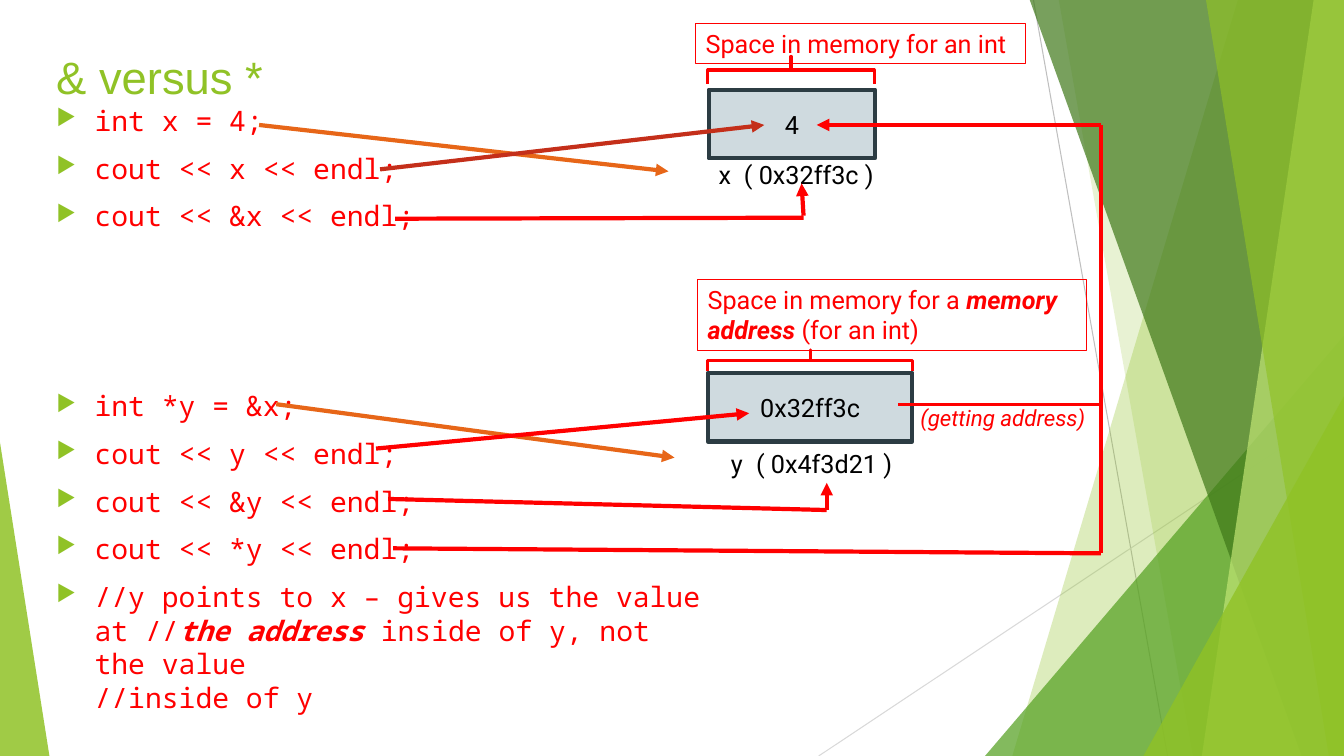
from lxml import etree
from pptx import Presentation
from pptx.dml.color import RGBColor
from pptx.enum.shapes import MSO_CONNECTOR as LINE, MSO_SHAPE as SHAPE
from pptx.enum.text import MSO_ANCHOR as ANCHOR, PP_ALIGN as ALIGN
from pptx.oxml import parse_xml
from pptx.oxml.ns import nsdecls, qn
from pptx.util import Inches, Pt

HUES = {"red": "FF0000", "rust": "C42F1A", "orange": "E76618", "lime": "90C226",
        "green": "54A021", "dark": "3F7819", "pale": "C0E474", "cell": "CFDADF",
        "edge": "2C3C43", "black": "000000", "gray": "BFBFBF", "mist": "D9D9D9"}

deck = Presentation()
deck.slide_width, deck.slide_height = Inches(13.33), Inches(7.5)
slide = deck.slides.add_slide(deck.slide_layouts[6])
shapes = slide.shapes


def rgb(hue):
    return RGBColor.from_string(HUES[hue])


def write(para, runs, size, hue, face="Roboto"):
    """Fill a paragraph; each run is a text and whether it is bold italic."""
    for text, strong in runs:
        if text == "\n":
            para.add_line_break()
            continue
        run = para.add_run()
        run.text = text
        if strong:
            run.font.bold = run.font.italic = True
    para.font.size, para.font.name = Pt(size), face
    para.font.color.rgb = rgb(hue)


# Backdrop lines, shards and corner triangles
lines = [(10.25, 0, 11.58, 7.5, "gray", 0.75, False),
         (13.33, 4.03, 8.12, 7.5, "mist", 0.75, False)]
shards = [(12.28, 10.04, "lime", 30), (10.5, 11.83, "lime", 20),
          (9.77, 3.33, 3.56, 4.17, 1, "green", 72),
          (10.21, 12.91, "dark", 70), (13.03, 11.92, "pale", 70),
          (11.96, 13.18, "lime", 65),
          (11.34, 3.93, 1.99, 3.57, 1, "lime", 80),
          (0, 4.39, 0.49, 3.11, 0, "lime", 85)]

# Arrows and lines of the diagram
lines += [(2.57, 1.24, 6.63, 1.7, "orange", 3, True),
          (3.92, 2.17, 7.97, 2.16, "red", 3, False),
          (7.97, 2.14, 7.95, 1.82, "red", 3, True),
          (3.77, 1.68, 7.58, 1.24, "rust", 3, True),
          (2.74, 4.01, 6.69, 4.54, "orange", 3, True),
          (3.73, 4.45, 7.43, 4.1, "red", 3, True),
          (3.85, 4.95, 8.2, 5.06, "red", 3, False),
          (8.2, 5.06, 8.2, 4.79, "red", 3, True),
          (3.9, 5.44, 10.92, 5.49, "red", 3, False),
          (10.92, 5.49, 10.92, 1.24, "red", 3, False),
          (10.92, 1.24, 8.1, 1.24, "red", 3, True),
          (8.91, 4.01, 10.92, 4.01, "red", 2.25, False)]


def draw(x1, y1, x2, y2, hue, width, arrow):
    line = shapes.add_connector(LINE.STRAIGHT, *map(Inches, (x1, y1, x2, y2)))
    line.line.color.rgb, line.line.width = rgb(hue), Pt(width)
    props = line._element.spPr
    if arrow:
        etree.SubElement(props.find(qn("a:ln")), qn("a:tailEnd"), type="triangle")
    etree.SubElement(props, qn("a:effectLst"))


for line in lines[:2]:
    draw(*line)

for *place, hue, alpha in shards:
    if len(place) == 2:
        top, foot = place
        pen = shapes.build_freeform(Inches(top), Inches(-0.01))
        pen.add_line_segments([(Inches(x), Inches(y)) for x, y in
                               ((13.33, -0.01), (13.33, 7.5), (foot, 7.5))])
        shard = pen.convert_to_shape()
    else:
        *box, peak = place
        shard = shapes.add_shape(SHAPE.ISOSCELES_TRIANGLE, *map(Inches, box))
        shard.adjustments[0] = peak
    shard.shadow.inherit = False
    shard.fill.solid()
    shard.fill.fore_color.rgb = rgb(hue)
    shard.line.fill.background()
    tint = shard._element.spPr.find(qn("a:solidFill"))[0]
    etree.SubElement(tint, qn("a:alpha"), val=str(alpha * 1000))

# Title
title = shapes.add_textbox(*map(Inches, (0.46, 0.44, 2.9, 0.63))).text_frame
title.word_wrap = True
title.vertical_anchor = ANCHOR.MIDDLE
write(title.paragraphs[0], [("& versus *", False)], 32.4, "lime", "Arial")

# Code lists
codes = [(0.98, 1.5, ["int x = 4;", "cout << x << endl;", "cout << &x << endl;"]),
         (3.81, 3.3, ["int *y = &x;", "cout << y << endl;", "cout << &y << endl;",
                      "cout << *y << endl;",
                      [("//y points to x – gives us the value at //", False),
                       ("the address", True),
                       (" inside of y, not the value", False),
                       ("\n", False), ("//inside of y", False)]])]
marks = ('<a:buClr {0}><a:srgbClr val="%s"/></a:buClr>' % HUES["lime"],
         '<a:buSzPct {0} val="80000"/>', '<a:buChar {0} char="▶"/>')
for top, high, items in codes:
    frame = shapes.add_textbox(*map(Inches, (0.46, top, 6.75, high))).text_frame
    frame.word_wrap = True
    for i, item in enumerate(items):
        para = frame.add_paragraph() if i else frame.paragraphs[0]
        props = para._p.get_or_add_pPr()
        props.set("marL", str(Inches(0.38)))
        props.set("indent", str(Inches(-0.38)))
        for mark in marks:
            props.append(parse_xml(mark.format(nsdecls("a"))))
        para.line_spacing = Pt(24)
        para.space_before = Pt(10 if i else 0)
        write(para, [(item, False)] if isinstance(item, str) else item,
              20, "red", "Noto Sans Mono")

# Memory cells
for *box, value in ((7.03, 0.89, 1.65, 0.68, "4"),
                    (7.02, 3.7, 2.03, 0.68, "0x32ff3c")):
    cell = shapes.add_shape(SHAPE.RECTANGLE, *map(Inches, box))
    cell.shadow.inherit = False
    cell.fill.solid()
    cell.fill.fore_color.rgb = rgb("cell")
    cell.line.color.rgb, cell.line.width = rgb("edge"), Pt(3)
    cell.text_frame.vertical_anchor = ANCHOR.MIDDLE
    para = cell.text_frame.paragraphs[0]
    para.alignment = ALIGN.CENTER
    write(para, [(value, False)], 18, "black")

# Names and addresses under the cells
for left, top, text in ((7.03, 1.53, "x\t( 0x32ff3c )"), (7.15, 4.4, "y\t( 0x4f3d21 )")):
    frame = shapes.add_textbox(*map(Inches, (left, top, 2.08, 0.4))).text_frame
    frame.word_wrap = True
    para = frame.paragraphs[0]
    tabs = etree.SubElement(para._p.get_or_add_pPr(), qn("a:tabLst"))
    etree.SubElement(tabs, qn("a:tab"), pos=str(Inches(0.25)), algn="l")
    write(para, [(text, False)], 18, "black")

# Braces over the cells
for box in ((7.71, -0.13, 0.27, 1.65), (7.93, 2.56, 0.21, 2.03)):
    brace = shapes.add_shape(SHAPE.RIGHT_BRACE, *map(Inches, box))
    brace.shadow.inherit = False
    brace.rotation = 270
    brace.adjustments[0], brace.adjustments[1] = 0, 0.5
    brace.fill.background()
    brace.line.color.rgb, brace.line.width = rgb("red"), Pt(2.25)

# Framed captions
for *box, rows in ((6.9, 0.23, 3.27, 0.4, [[("Space in memory for an int", False)]]),
                   (6.92, 2.77, 3.86, 0.71,
                    [[("Space in memory for a ", False), ("memory", True)],
                     [("address", True), (" (for an int)", False)]])):
    note = shapes.add_textbox(*map(Inches, box))
    note.line.color.rgb, note.line.width = rgb("red"), Pt(0.75)
    for i, row in enumerate(rows):
        para = note.text_frame.add_paragraph() if i else note.text_frame.paragraphs[0]
        write(para, row, 18, "red")

for line in lines[2:]:
    draw(*line)

# Label on the pointer line
hint = shapes.add_textbox(*map(Inches, (9.03, 3.96, 1.92, 0.37))).text_frame
write(hint.paragraphs[0], [("(getting address)", True)], 16, "red")
hint.paragraphs[0].runs[0].font.bold = False

deck.save("out.pptx")
